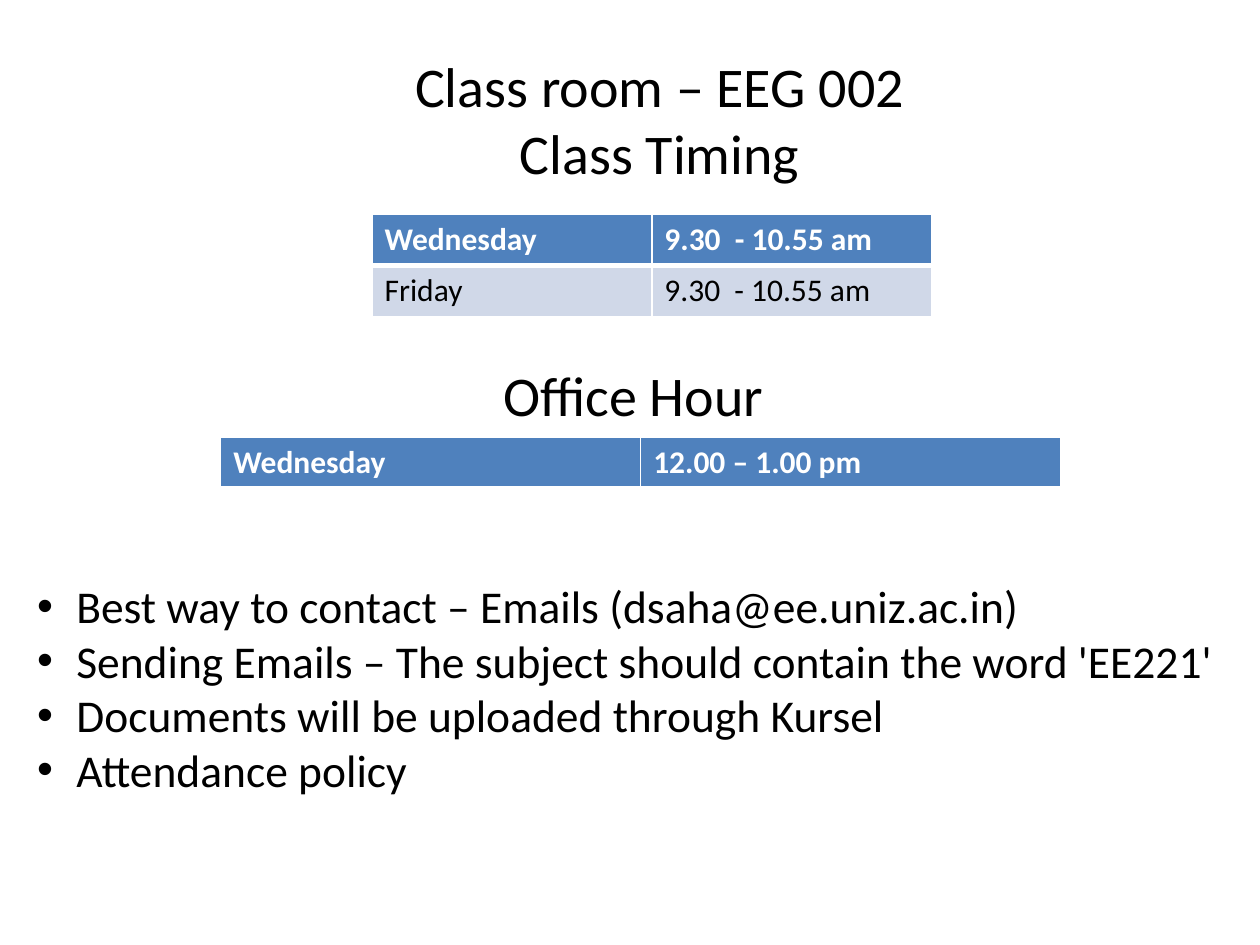
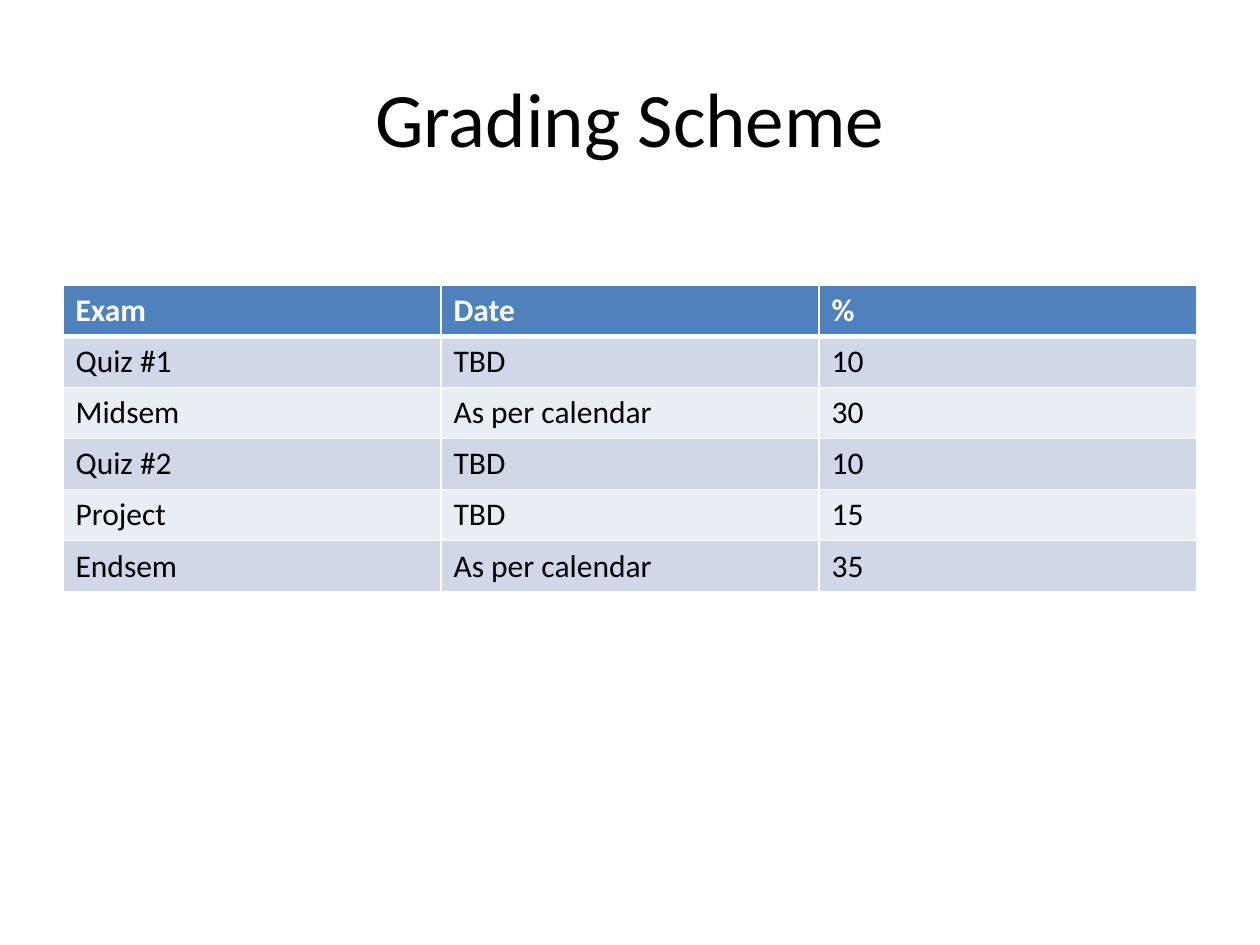
from lxml import etree
from pptx import Presentation
from pptx import util as u
from pptx.dml.color import RGBColor
from pptx.enum import text
from pptx.oxml import ns

FONT = "Calibri"
HUES = {"ink": "000000", "white": "FFFFFF", "head": "4F81BD",
        "odd": "D0D8E8", "even": "E9EDF4"}
ROW = 1.03


def style(frame, size, hue="ink", bold=False, align=text.PP_ALIGN.LEFT):
    """Format every paragraph and run of a text frame."""
    for para in frame.paragraphs:
        para.alignment = align
        for run in para.runs:
            run.font.name = FONT
            run.font.size = u.Pt(size)
            run.font.bold = bold
            run.font.color.rgb = RGBColor.from_string(HUES[hue])


def grid(slide, left, top, width, rows):
    """Add a table with a blue head row, banded body and white borders."""
    table = slide.shapes.add_table(
        len(rows), len(rows[0]), u.Cm(left), u.Cm(top),
        u.Cm(width), u.Cm(ROW * len(rows))).table
    for i, row in enumerate(rows):
        table.rows[i].height = u.Cm(ROW)
        band = "head" if i == 0 else "odd" if i % 2 else "even"
        for j, word in enumerate(row):
            cell = table.cell(i, j)
            cell.text_frame.text = word
            style(cell.text_frame, 18, "ink" if i else "white", i == 0)
            props = cell._tc.get_or_add_tcPr()
            for side in "LRTB":
                # The line between head and body is thicker
                thick = (side == "B" and i == 0) or (side == "T" and i == 1)
                line = etree.SubElement(props, ns.qn("a:ln" + side),
                                        w=str(u.Pt(3 if thick else 1)))
                fill = etree.SubElement(line, ns.qn("a:solidFill"))
                etree.SubElement(fill, ns.qn("a:srgbClr"), val=HUES["white"])
            cell.fill.solid()
            cell.fill.fore_color.rgb = RGBColor.from_string(HUES[band])


deck = Presentation()
deck.slide_width, deck.slide_height = u.Cm(25.4), u.Cm(19.05)
plain = deck.slide_layouts[5]

# Titles: words, place, size, anchor
heads = [
    ("Class room – EEG 002\nClass Timing", (5.1, 0.91, 16.4, 3),
     32, text.MSO_ANCHOR.TOP),
    ("Grading Scheme", (1.27, 0.76, 22.86, 3.18),
     44, text.MSO_ANCHOR.MIDDLE),
]
pages = []
for words, place, size, anchor in heads:
    page = deck.slides.add_slide(plain)
    title = page.shapes.title
    title.left, title.top, title.width, title.height = map(u.Cm, place)
    frame = title.text_frame
    frame.text = words
    frame.auto_size = text.MSO_AUTO_SIZE.NONE
    frame.vertical_anchor = anchor
    style(frame, size, align=text.PP_ALIGN.CENTER)
    pages.append(page)
times, marks = pages

# Class times and office hour
grid(times, 7.5, 4.32, 11.28, [("Wednesday", "9.30  - 10.55 am"),
                               ("Friday", "9.30  - 10.55 am")])
box = times.shapes.add_textbox(u.Cm(4.7), u.Cm(7.14), u.Cm(16.4), u.Cm(1.63))
box.text_frame.word_wrap = True
box.text_frame.text = "Office Hour "
style(box.text_frame, 32, align=text.PP_ALIGN.CENTER)
grid(times, 4.45, 8.82, 16.93, [("Wednesday", "12.00 – 1.00 pm")])

# Course notes
notes = [
    "Best way to contact – Emails (dsaha@ee.uniz.ac.in)",
    "Sending Emails – The subject should contain the word 'EE221'",
    "Documents will be uploaded through Kursel",
    "Attendance policy",
]
box = times.shapes.add_textbox(u.Cm(0.5), u.Cm(11.53), u.Cm(24.43), u.Cm(4.7))
frame = box.text_frame
frame.word_wrap = False
frame.auto_size = text.MSO_AUTO_SIZE.SHAPE_TO_FIT_TEXT
frame.text = "\n".join(notes)
style(frame, 26)
for para in frame.paragraphs:
    props = para._p.get_or_add_pPr()
    props.set("marL", str(u.Cm(0.79)))
    props.set("indent", str(-u.Cm(0.79)))
    etree.SubElement(props, ns.qn("a:buFont"), typeface="Arial")
    etree.SubElement(props, ns.qn("a:buChar"), char="•")

# Grading scheme
grid(marks, 1.27, 5.75, 22.86, [
    ("Exam", "Date", "%"),
    ("Quiz #1", "TBD", "10"),
    ("Midsem", "As per calendar", "30"),
    ("Quiz #2", "TBD", "10"),
    ("Project", "TBD", "15"),
    ("Endsem", "As per calendar", "35"),
])

deck.save("out.pptx")
